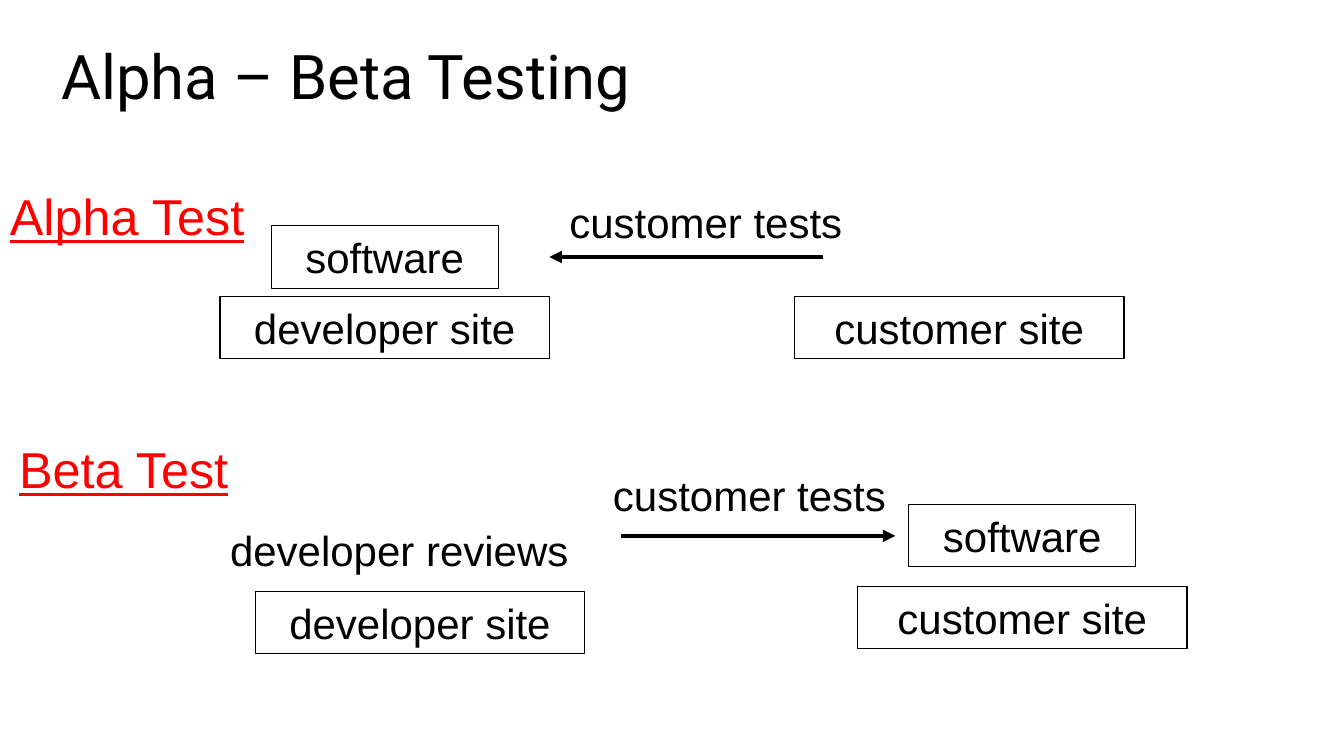
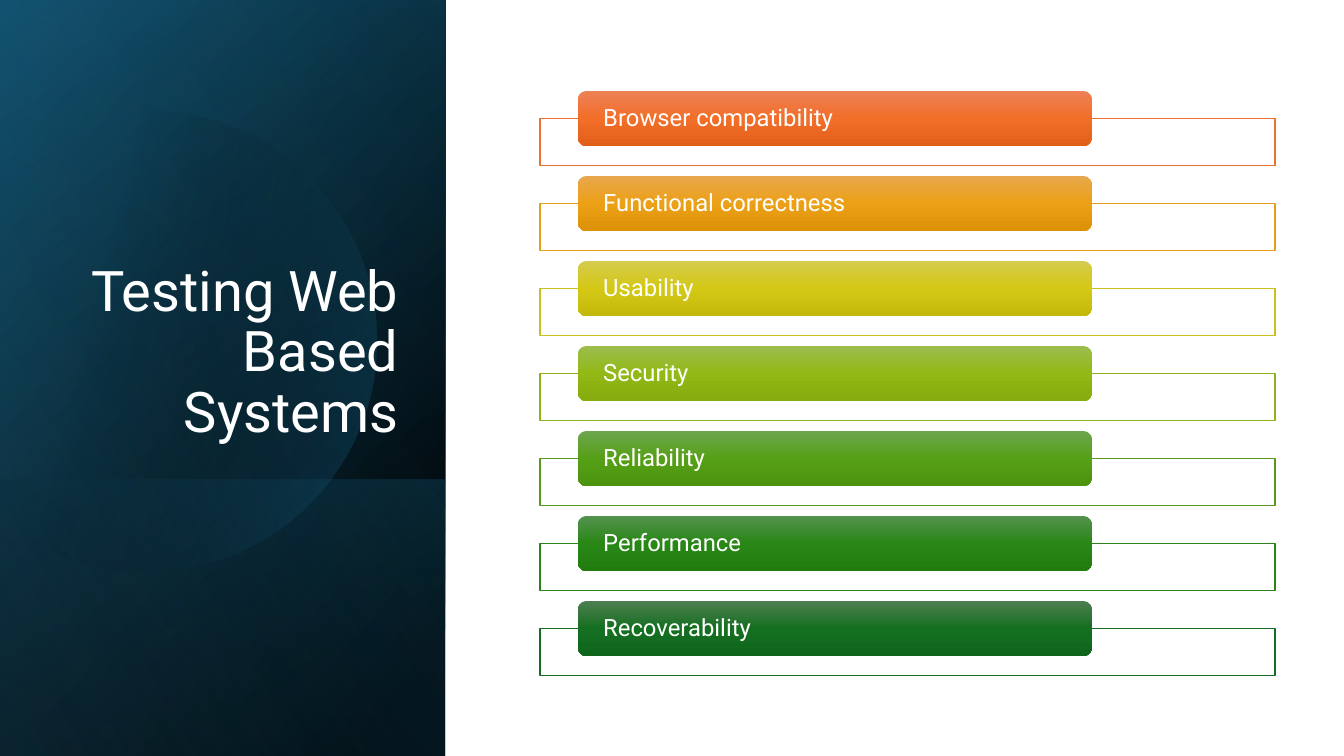
import math

from lxml import etree
from pptx import Presentation, util as u
from pptx.dml.color import RGBColor
from pptx.enum import shapes, text
from pptx.oxml.ns import qn

COLUMNS, ROWS = 160, 90
BLACK, WHITE, RED, TEAL = "000000", "FFFFFF", "FF0000", "156082"
RECT = shapes.MSO_SHAPE.RECTANGLE
ROUNDED = shapes.MSO_SHAPE.ROUNDED_RECTANGLE
LEFT, CENTER, RIGHT = text.PP_ALIGN.LEFT, text.PP_ALIGN.CENTER, text.PP_ALIGN.RIGHT
TOP, MIDDLE, BOTTOM = text.MSO_ANCHOR.TOP, text.MSO_ANCHOR.MIDDLE, text.MSO_ANCHOR.BOTTOM

TITLE = {"name": "Roboto", "size": u.Pt(44)}
SIDE_TITLE = {"name": "Roboto", "size": u.Pt(40)}
HEADING = {"name": "Arial", "size": u.Pt(36), "underline": True}
LABEL = {"name": "Arial", "size": u.Pt(30)}
ITEM = {"name": "Roboto", "size": u.Pt(17)}


def color(hex_value):
    return RGBColor.from_string(hex_value)


def apply(target, formats):
    for name, value in formats.items():
        setattr(target, name, value)


class Deck:
    """Holds the presentation, its grid and the current slide."""

    def __init__(self):
        self.presentation = Presentation()
        self.presentation.slide_width = u.Inches(13.333)
        self.presentation.slide_height = u.Inches(7.5)
        self.column = self.presentation.slide_width / COLUMNS
        self.row = self.presentation.slide_height / ROWS
        self.slide = None

    def new_slide(self):
        self.slide = self.presentation.slides.add_slide(self.presentation.slide_layouts[6])

    def place(self, left, top, width, height):
        """Turn columns and rows into lengths."""
        return (round(left * self.column), round(top * self.row),
                round(width * self.column), round(height * self.row))

    def put_text(self, shape, words, font, ink=BLACK, align=LEFT, anchor=TOP, spacing=1.0, **frame):
        apply(shape.text_frame, {"word_wrap": False, "vertical_anchor": anchor, **frame})
        paragraph = shape.text_frame.paragraphs[0]
        apply(paragraph, {"alignment": align, "line_spacing": spacing})
        run = paragraph.add_run()
        run.text = words
        apply(run.font, font)
        run.font.color.rgb = color(ink)

    def label(self, words, area, font, **style):
        self.put_text(self.slide.shapes.add_textbox(*self.place(*area)), words, font, **style)

    def title(self, words, area, font=TITLE, **style):
        self.label(words, area, font, spacing=0.9, word_wrap=True, **style)

    def box(self, area, kind=RECT, line=None, weight=1):
        shape = self.slide.shapes.add_shape(kind, *self.place(*area))
        self.clear_style(shape)
        if line:
            shape.fill.solid()
            shape.fill.fore_color.rgb = color(WHITE)
            shape.line.color.rgb = color(line)
            shape.line.width = u.Pt(weight)
        return shape

    def clear_style(self, shape):
        shape.shadow.inherit = False
        shape.fill.background()
        shape.line.fill.background()

    def gradient(self, shape, stops, angle):
        """Fill with (position, colour, opacity) stops, all numbers in percent."""
        fill = etree.Element(qn("a:gradFill"), rotWithShape="1")
        stop_list = etree.SubElement(fill, qn("a:gsLst"))
        for position, hex_value, opacity in stops:
            stop = etree.SubElement(stop_list, qn("a:gs"), pos=str(position * 1000))
            ink = etree.SubElement(stop, qn("a:srgbClr"), val=hex_value)
            if opacity < 100:
                etree.SubElement(ink, qn("a:alpha"), val=str(opacity * 1000))
        etree.SubElement(fill, qn("a:lin"), ang=str(angle * 60000), scaled="0")
        properties = shape.element.spPr
        properties.replace(properties.find(qn("a:noFill")), fill)

    def panel(self, top, width, height, stops, angle):
        """Panel at the left edge, turned a quarter and mirrored with its gradient."""
        left = (width - height) / 2
        shape = self.box((left, top - left, height, width))
        shape.rotation = 90
        shape.element.spPr.find(qn("a:xfrm")).set("flipH", "1")
        self.gradient(shape, stops, angle)

    def disc(self, center_x, center_y, radius, stops, angle):
        """Circle cut off by the left edge of the slide."""
        reach = math.acos(-center_x / radius)
        steps = 90
        turns = [reach * (2 * step / steps - 1) for step in range(steps + 1)]
        points = [((center_x + radius * math.cos(turn)) * self.column,
                   (center_y + radius * math.sin(turn)) * self.row) for turn in turns]
        builder = self.slide.shapes.build_freeform(*points[0])
        builder.add_line_segments(points[1:], close=True)
        shape = builder.convert_to_shape()
        self.clear_style(shape)
        self.gradient(shape, stops, angle)

    def arrow(self, start, end, level):
        x1, y1, x2, y2 = self.place(start, level, end, level)
        connector = self.slide.shapes.add_connector(shapes.MSO_CONNECTOR.STRAIGHT, x1, y1, x2, y2)
        connector.line.color.rgb = color(BLACK)
        connector.line.width = u.Pt(3)
        properties = connector.element.spPr
        etree.SubElement(properties.find(qn("a:ln")), qn("a:tailEnd"), type="triangle")
        etree.SubElement(properties, qn("a:effectLst"))

    def named_box(self, words, center, top, width, weight):
        shape = self.box((center - width / 2, top, width, 7.4), line=BLACK, weight=weight)
        self.put_text(shape, words, LABEL, align=CENTER, anchor=MIDDLE)

    def software(self, center, top):
        self.named_box("software", center, top, 27, 0.75)

    def site(self, owner, center, top):
        self.named_box(f"{owner} site", center, top, 39.2, 1)

    def list_item(self, words, top, line, shades):
        self.box((64.3, top + 3.3, 87.5, 5.6), line=line)
        bar = self.box((68.8, top, 61.2, 6.6), ROUNDED)
        stops = [(position, shade, 100) for position, shade in zip((0, 50, 100), shades)]
        self.gradient(bar, stops, 90)
        self.put_text(bar, words, ITEM, WHITE, anchor=MIDDLE, spacing=0.9,
                      margin_left=round(2.7 * self.column), margin_top=0, margin_bottom=0)


def alpha_beta_slide(deck):
    deck.new_slide()
    deck.title("Alpha – Beta Testing", (6.1, 0.8, 138, 17.4), anchor=MIDDLE)

    deck.label("Alpha Test", (0, 21.5, 30.6, 8.5), HEADING, ink=RED)
    deck.software(45.8, 26.9)
    deck.site("developer", 45.8, 35.3)
    deck.label("customer tests", (66.6, 22.8, 35.3, 7.3), LABEL)
    deck.arrow(98, 65.4, 30.6)
    deck.site("customer", 114.2, 35.3)

    deck.label("Beta Test", (1.1, 51.6, 27.6, 8.5), HEADING, ink=RED)
    deck.label("developer reviews", (26.2, 61.9, 43.1, 7.3), LABEL)
    deck.site("developer", 50, 70.4)
    deck.label("customer tests", (71.8, 55.3, 35.3, 7.3), LABEL)
    deck.arrow(73.9, 106.6, 63.8)
    deck.software(121.7, 60.1)
    deck.site("customer", 121.7, 69.8)


def web_testing_slide(deck):
    deck.new_slide()
    width = 53
    deck.panel(0, width, ROWS, [(8, BLACK, 100), (100, "104862", 100)], 50)
    deck.panel(0, width, ROWS, [(0, BLACK, 0), (99, TEAL, 46)], 30)
    deck.panel(57.1, width, 32.9, [(2, TEAL, 29), (100, BLACK, 30)], 130)
    deck.disc(17.4, 40.6, 27.4, [(29, BLACK, 0), (100, TEAL, 43)], 14)
    deck.panel(0, width, ROWS, [(0, BLACK, 0), (99, "46B1E1", 11)], 120)
    deck.title("Testing Web Based Systems", (7.7, 22.1, 40.9, 31.4), SIDE_TITLE,
               ink=WHITE, align=RIGHT, anchor=BOTTOM)

    qualities = [
        ("Browser compatibility", "E97132", ("ED8257", "F26E29", "E25F1A")),
        ("Functional correctness", "E39D1F", ("E8A74F", "ECA015", "DD9108")),
        ("Usability", "CBC11E", ("D5CB4E", "D4C815", "C4B90B")),
        ("Security", "8EB21E", ("9CBD4E", "92B916", "85AB0D")),
        ("Reliability", "56991D", ("6DA64E", "56A017", "4C930F")),
        ("Performance", "2C821B", ("53914E", "298716", "217C0F")),
        ("Recoverability", "196B24", ("4D7E50", "156F21", "0F661B")),
    ]
    for index, (quality, line, shades) in enumerate(qualities):
        deck.list_item(quality, 10.8 + 10.12 * index, line, shades)


def main():
    deck = Deck()
    alpha_beta_slide(deck)
    web_testing_slide(deck)
    deck.presentation.save("out.pptx")


if __name__ == "__main__":
    main()
